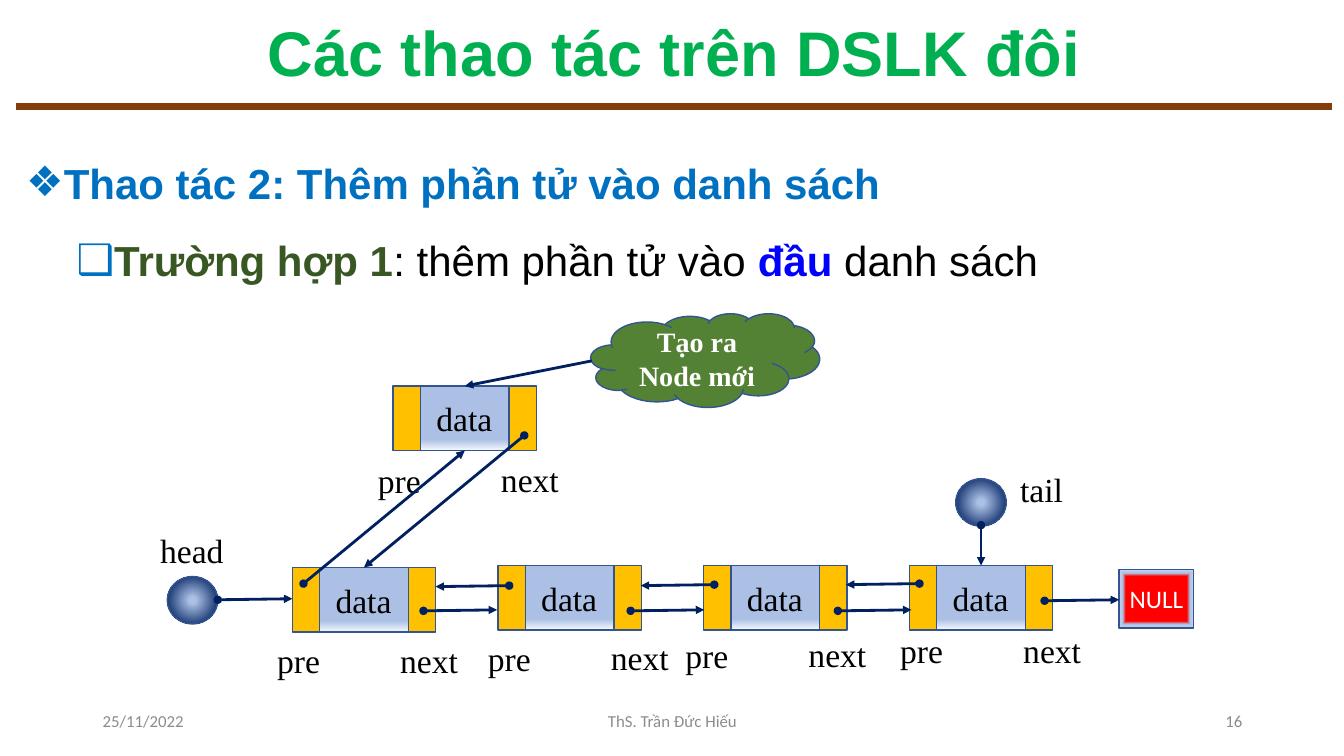
from lxml import etree
from pptx import Presentation
from pptx import util as u
from pptx.dml import color
from pptx.enum import shapes, text
from pptx.oxml import ns

COLORS = {
    "title": "00B050", "rule": "843C0B", "footer": "8C8C8C", "heading": "0070C0",
    "case": "385723", "accent": "0000FF", "black": "000000", "white": "FFFFFF",
    "outline": "325491", "navy": "002060", "pointer": "FFC000", "cloud": "548235",
    "red": "FF0000", "pale": "ABC0E4", "mist": "F6F8FC", "haze": "C7D5ED",
}
CENTER, LEFT, RIGHT = text.PP_ALIGN.CENTER, text.PP_ALIGN.LEFT, text.PP_ALIGN.RIGHT
SERIF = {"name": "Times New Roman", "size": u.Pt(24), "bold": False}
SANS = {"name": "Calibri", "size": u.Pt(12), "bold": False}
# Gradient stops and direction
DATA = ([(74, "pale"), (83, "pale"), (100, "mist")], "linear")
BALL = ([(10, "pale"), (85, "navy"), (100, "pale")], "circle")
NULL = ([(77, "red"), (87, "pale"), (100, "haze")], "rect")

deck = Presentation()
deck.slide_width, deck.slide_height = u.Inches(13.33), u.Inches(7.5)
page = deck.slides.add_slide(deck.slide_layouts[1])


def write(para, words, style, tint, align=LEFT):
    """Add a formatted run to a paragraph."""
    para.alignment = align
    span = para.add_run()
    span.text = words
    for key, value in style.items():
        setattr(span.font, key, value)
    span.font.color.rgb = color.RGBColor.from_string(COLORS[tint])


def block(kind, area, fill, words="", style=SERIF, tint="black"):
    """Add an outlined shape with a plain or gradient fill."""
    box = page.shapes.add_shape(kind, *map(u.Inches, area))
    box.shadow.inherit = False
    box.line.color.rgb = color.RGBColor.from_string(COLORS["outline"])
    box.line.width = u.Pt(1)
    if isinstance(fill, str):
        box.fill.solid()
        box.fill.fore_color.rgb = color.RGBColor.from_string(COLORS[fill])
    else:
        stops, direction = fill
        box.fill.gradient()
        grad = box._element.spPr.find(ns.qn("a:gradFill"))
        for child in list(grad):
            grad.remove(child)
        stop_list = etree.SubElement(grad, ns.qn("a:gsLst"))
        for place, name in stops:
            stop = etree.SubElement(stop_list, ns.qn("a:gs"), pos=str(place * 1000))
            etree.SubElement(stop, ns.qn("a:srgbClr"), val=COLORS[name])
        if direction == "linear":
            etree.SubElement(grad, ns.qn("a:lin"), ang="5400000", scaled="0")
        else:
            shade = etree.SubElement(grad, ns.qn("a:path"), path=direction)
            etree.SubElement(shade, ns.qn("a:fillToRect"),
                             dict.fromkeys("ltrb", "50000"))
    if words:
        box.text_frame.vertical_anchor = text.MSO_ANCHOR.MIDDLE
        write(box.text_frame.paragraphs[0], words, style, tint, CENTER)


# Title
title = page.shapes.title
title.left, title.top, title.width, title.height = map(u.Inches, (0.16, 0.15, 13.05, 0.81))
title.text_frame.vertical_anchor = text.MSO_ANCHOR.MIDDLE
title.text_frame.auto_size = text.MSO_AUTO_SIZE.NONE
para = title.text_frame.paragraphs[0]
para.line_spacing = 0.9
write(para, "Các thao tác trên DSLK đôi",
      {"name": "Arial", "size": u.Pt(45), "bold": True}, "title", CENTER)

# Body list
body = page.placeholders[1]
body.left, body.top, body.width, body.height = map(u.Inches, (0.16, 1.36, 13.05, 6.05))
body.text_frame.auto_size = text.MSO_AUTO_SIZE.NONE
items = [
    (0, 0.25, 1.3, 0, "❖", LEFT,
     [("Thao tác 2: Thêm phần tử vào danh sách", True, "heading")]),
    (1, 0.75, 1.4, 5, "❑", text.PP_ALIGN.JUSTIFY,
     [("Trường hợp 1", True, "case"), (": thêm phần tử vào ", False, "black"),
      ("đầu", True, "accent"), (" danh sách", False, "black")]),
]
for level, margin, spacing, before, mark, align, spans in items:
    para = body.text_frame.add_paragraph() if level else body.text_frame.paragraphs[0]
    para.level, para.line_spacing, para.space_before = level, spacing, u.Pt(before)
    props = para._p.get_or_add_pPr()
    props.set("marL", str(u.Inches(margin)))
    props.set("indent", str(u.Inches(-0.25)))
    tone = etree.SubElement(props, ns.qn("a:buClr"))
    etree.SubElement(tone, ns.qn("a:srgbClr"), val=COLORS["heading"])
    etree.SubElement(props, ns.qn("a:buFont"), typeface="Arial")
    etree.SubElement(props, ns.qn("a:buChar"), char=mark)
    for words, bold, tint in spans:
        write(para, words, {"name": "Arial", "size": u.Pt(30), "bold": bold}, tint, align)

# Nodes: left, top, label lefts and label tops for pre and next
nodes = [
    (9.02, 5.61, 8.83, 6.2, 10.05, 6.2),
    (6.98, 5.61, 6.7, 6.25, 7.92, 6.24),
    (4.94, 5.61, 4.74, 6.28, 5.96, 6.27),
    (2.9, 5.63, 2.65, 6.3, 3.87, 6.3),
    (3.9, 3.83, 3.65, 4.51, 4.87, 4.5),
]
labels = [("tail", 10.02, 4.6, 0.63), ("head", 1.49, 5.21, 0.84)]
RECT = shapes.MSO_SHAPE.RECTANGLE
for left, top, pre_left, pre_top, next_left, next_top in nodes:
    block(RECT, (left + 0.26, top, 0.89, 0.64), DATA, "data")
    for offset in (1.15, 0):
        block(RECT, (left + offset, top, 0.27, 0.64), "pointer")
    labels += [("next", next_left, next_top, 0.78), ("pre", pre_left, pre_top, 0.63)]

# Head and tail balls, end marker, cloud
for left, top in [(9.48, 4.75), (1.66, 5.72)]:
    block(shapes.MSO_SHAPE.OVAL, (left, top, 0.5, 0.47), BALL)
block(RECT, (11.1, 5.65, 0.74, 0.58), NULL, "NULL", {**SANS, "size": u.Pt(18)}, "white")
block(shapes.MSO_SHAPE.CLOUD, (5.86, 3.11, 2.27, 0.93), "cloud", "Tạo ra Node mới",
      {**SERIF, "size": u.Pt(20), "bold": True}, "white")

# Node labels and footer
captions = [(words, (left, top, width, 0.5), SERIF, "black", LEFT)
            for words, left, top, width in labels]
captions += [
    ("25/11/2022", (0.92, 6.95, 3, 0.4), SANS, "footer", LEFT),
    ("ThS. Trần Đức Hiếu", (4.42, 6.95, 4.5, 0.4), SANS, "footer", CENTER),
    ("16", (9.42, 6.95, 3, 0.4), SANS, "footer", RIGHT),
]
for words, area, style, tint, align in captions:
    box = page.shapes.add_textbox(*map(u.Inches, area))
    box.text_frame.word_wrap = tint == "footer"
    if tint == "footer":
        box.text_frame.vertical_anchor = text.MSO_ANCHOR.MIDDLE
    write(box.text_frame.paragraphs[0], words, style, tint, align)

# Title rule and arrows: ends, colour, weight, start and end marks
lines = [((0.16, 1.06, 13.21, 1.06), "rule", 5, None, None),
         ((5.87, 3.58, 4.61, 3.83), "navy", 2, None, "triangle")]
links = [(2.16, 5.95, 2.9, 5.94), (9.73, 5.21, 9.73, 5.61), (10.36, 5.96, 11.1, 5.95),
         (5.2, 4.32, 3.61, 5.63), (3.01, 5.79, 4.61, 4.47)]
for step in range(3):
    start, back = 4.2 + 2.055 * step, 5.05 + 2.035 * step
    links.append((start, 6.06, start + 0.73, 6.05))
    links.append((back, 5.81 - 0.01 * step, back - 0.73, 5.82 - 0.01 * step))
lines += [(ends, "navy", 2, "oval", "triangle") for ends in links]
for ends, tint, weight, start_mark, end_mark in lines:
    line = page.shapes.add_connector(shapes.MSO_CONNECTOR.STRAIGHT, *map(u.Inches, ends))
    line.line.color.rgb = color.RGBColor.from_string(COLORS[tint])
    line.line.width = u.Pt(weight)
    for tag, mark in (("a:headEnd", start_mark), ("a:tailEnd", end_mark)):
        if mark:
            etree.SubElement(line.line._get_or_add_ln(), ns.qn(tag), type=mark)
    etree.SubElement(line._element.spPr, ns.qn("a:effectLst"))

deck.save("out.pptx")
